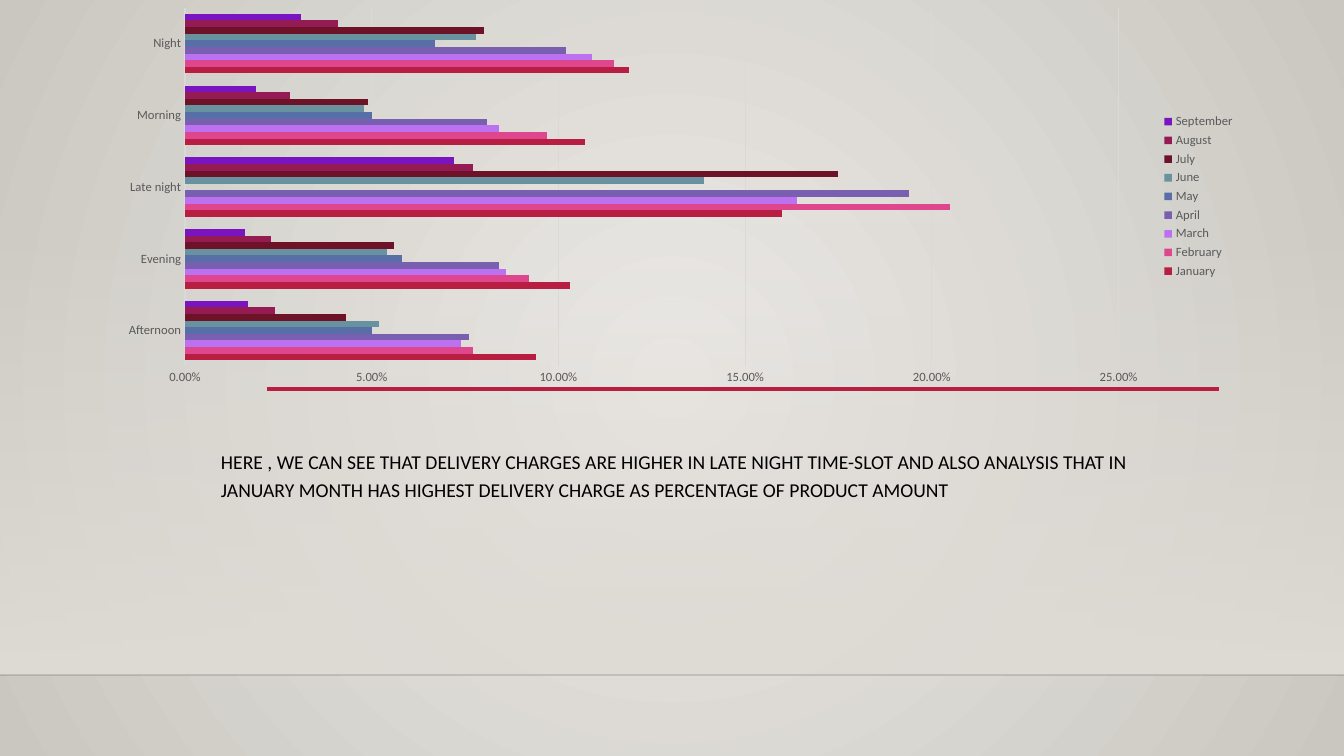
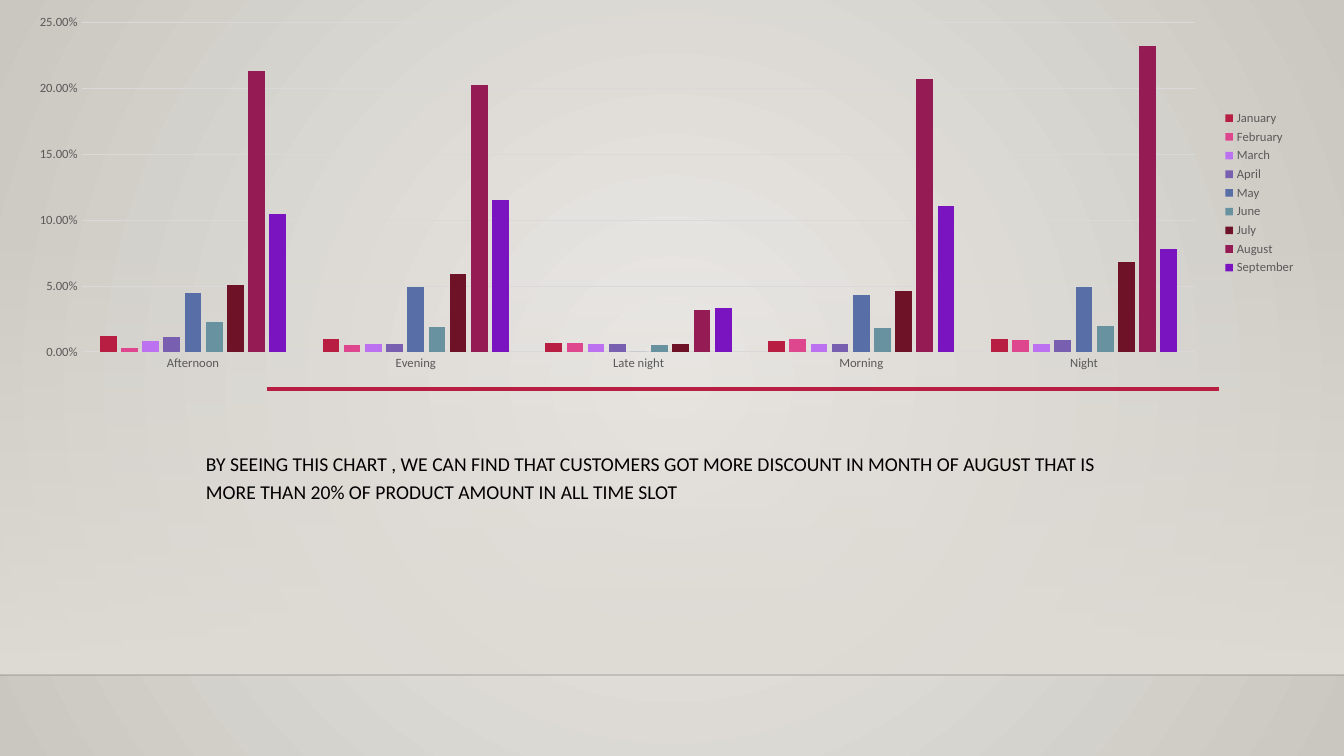
from lxml import etree
from pptx import Presentation
from pptx import util as u
from pptx.chart.data import CategoryChartData
from pptx.dml.color import RGBColor
from pptx.enum import chart as ch
from pptx.enum import shapes
from pptx.oxml import parse_xml
from pptx.oxml.ns import nsdecls, qn

W, H = 1344, 756
EMU_PER_PX = 12192000 / W
FONT = "Calibri"
COLORS = {
    "glow": "ECEAE7", "edge": "CAC7C1", "band": "DFDBD5", "accent": "B71E42",
    "text": "000000", "label": "595959", "grid": "D9D9D9",
}
MONTHS = {
    "January": "B71E42", "February": "DE478E", "March": "BC72F0",
    "April": "795FAF", "May": "586EA6", "June": "6892A0",
    "July": "6E1228", "August": "951B54", "September": "7914C0",
}
SLOTS = ["Afternoon", "Evening", "Late night", "Morning", "Night"]

# One row per month, one value per time slot
DELIVERY = [
    [0.094, 0.103, 0.16, 0.107, 0.119],
    [0.077, 0.092, 0.205, 0.097, 0.115],
    [0.074, 0.086, 0.164, 0.084, 0.109],
    [0.076, 0.084, 0.194, 0.081, 0.102],
    [0.05, 0.058, None, 0.05, 0.067],
    [0.052, 0.054, 0.139, 0.048, 0.078],
    [0.043, 0.056, 0.175, 0.049, 0.08],
    [0.024, 0.023, 0.077, 0.028, 0.041],
    [0.017, 0.016, 0.072, 0.019, 0.031],
]
DISCOUNT = [
    [0.012, 0.01, 0.007, 0.008, 0.01],
    [0.003, 0.005, 0.007, 0.01, 0.009],
    [0.008, 0.006, 0.006, 0.006, 0.006],
    [0.011, 0.006, 0.006, 0.006, 0.009],
    [0.045, 0.049, 0, 0.043, 0.049],
    [0.023, 0.019, 0.005, 0.018, 0.02],
    [0.051, 0.059, 0.006, 0.046, 0.068],
    [0.213, 0.203, 0.032, 0.207, 0.232],
    [0.105, 0.115, 0.033, 0.111, 0.078],
]


def px(*lengths):
    return [u.Emu(round(n * EMU_PER_PX)) for n in lengths]


def rgb(name):
    return RGBColor.from_string(COLORS[name])


def set_font(font, size, color):
    font.name, font.size = FONT, u.Pt(size)
    font.color.rgb = rgb(color)


def set_gradient(fill, element, stops, direction):
    """Stops are (colour name, opacity in percent), from first to last."""
    fill.gradient()
    old = element.xpath(".//a:gradFill")[0]
    gs = "".join(
        f'<a:gs pos="{i * 100000}"><a:srgbClr val="{COLORS[c]}">'
        f'<a:alpha val="{alpha * 1000}"/></a:srgbClr></a:gs>'
        for i, (c, alpha) in enumerate(stops))
    new = parse_xml(f'<a:gradFill {nsdecls("a")} rotWithShape="1">'
                    f'<a:gsLst>{gs}</a:gsLst>{direction}</a:gradFill>')
    old.getparent().replace(old, new)


def add_line(s, x1, x2, y, color, width, alpha=100):
    line = s.shapes.add_connector(shapes.MSO_CONNECTOR.STRAIGHT, *px(x1, y, x2, y))
    line.line.color.rgb = rgb(color)
    line.line.width = u.Pt(width)
    etree.SubElement(line.element.spPr, qn("a:effectLst"))
    if alpha < 100:
        clr = line.element.spPr.xpath(".//a:srgbClr")[0]
        etree.SubElement(clr, qn("a:alpha")).set("val", str(alpha * 1000))


def add_text(s, box, text, size=14, color="text", spacing=1.2, before=10):
    tf = s.shapes.add_textbox(*px(*box)).text_frame
    tf.word_wrap = True
    tf.margin_left = tf.margin_right = tf.margin_top = tf.margin_bottom = px(10)[0]
    p = tf.paragraphs[0]
    p.line_spacing, p.space_before = spacing, u.Pt(before)
    r = p.add_run()
    r.text = text
    set_font(r.font, size, color)


def add_backdrop(s):
    # Radial background
    set_gradient(s.background.fill, s.element, [("glow", 100), ("edge", 100)],
                 '<a:path path="circle"><a:fillToRect l="50000" t="50000" '
                 'r="50000" b="50000"/></a:path>')
    # Band fading in towards the floor line
    band = s.shapes.add_shape(shapes.MSO_SHAPE.RECTANGLE, *px(0, 223, W, 452))
    band.shadow.inherit = False
    band.line.fill.background()
    set_gradient(band.fill, band.element, [("band", 0), ("band", 100)],
                 '<a:lin ang="5400000" scaled="0"/>')
    add_line(s, 0, W, 675, "text", 1, alpha=20)
    # Accent rule under the chart
    add_line(s, 267, 1219, 389, "accent", 2.5)


def add_month_chart(s, box, kind, rows, gap, overlap):
    data = CategoryChartData(number_format="0.00%")
    data.categories = SLOTS
    for month, values in zip(MONTHS, rows):
        data.add_series(month, values)
    chart = s.shapes.add_chart(kind, *px(*box), data).chart
    chart.has_title = False
    set_font(chart.font, 10, "text")

    # Bars
    plot = chart.plots[0]
    plot.vary_by_categories = False
    plot.gap_width, plot.overlap = gap, overlap
    for series, color in zip(plot.series, MONTHS.values()):
        series.invert_if_negative = False
        series.format.fill.solid()
        series.format.fill.fore_color.rgb = RGBColor.from_string(color)

    # Axes and grid
    cat, val = chart.category_axis, chart.value_axis
    for axis in (cat, val):
        axis.major_tick_mark = axis.minor_tick_mark = ch.XL_TICK_MARK.NONE
        set_font(axis.tick_labels.font, 9, "label")
    val.minimum_scale, val.maximum_scale, val.major_unit = 0, 0.25, 0.05
    val.tick_labels.number_format = "0.00%"
    val.tick_labels.number_format_is_linked = False
    val.format.line.fill.background()
    val.has_major_gridlines = True
    for line in (cat.format.line, val.major_gridlines.format.line):
        line.color.rgb, line.width = rgb("grid"), u.Pt(0.75)

    # Legend
    chart.has_legend = True
    chart.legend.position = ch.XL_LEGEND_POSITION.RIGHT
    chart.legend.include_in_layout = False
    set_font(chart.legend.font, 9, "label")

    # Clear chart and plot areas
    clear = (f'<c:spPr {nsdecls("c", "a")}><a:noFill/>'
             '<a:ln><a:noFill/></a:ln></c:spPr>')
    root = chart.element
    root.find(qn("c:chart")).addnext(parse_xml(clear))
    root.xpath(".//c:plotArea")[0].append(parse_xml(clear))


def add_chart_slide(prs, text, text_box, **chart):
    s = prs.slides.add_slide(prs.slide_layouts[6])
    add_backdrop(s)
    add_text(s, text_box, text)
    add_month_chart(s, **chart)


def main():
    prs = Presentation()
    prs.slide_width, prs.slide_height = px(W, H)
    add_chart_slide(
        prs,
        "HERE , WE CAN SEE THAT DELIVERY CHARGES ARE HIGHER IN LATE NIGHT "
        "TIME-SLOT AND ALSO ANALYSIS THAT IN JANUARY MONTH HAS HIGHEST "
        "DELIVERY CHARGE AS PERCENTAGE OF PRODUCT AMOUNT",
        (211, 435, 953, 108),
        box=(106, 0, 1139, 393), kind=ch.XL_CHART_TYPE.BAR_CLUSTERED,
        rows=DELIVERY, gap=182, overlap=0)
    add_chart_slide(
        prs,
        "BY SEEING THIS CHART , WE CAN FIND THAT CUSTOMERS GOT MORE DISCOUNT "
        "IN MONTH OF AUGUST THAT IS MORE THAN 20% OF PRODUCT AMOUNT IN ALL "
        "TIME SLOT",
        (196, 437, 953, 108),
        box=(14, 8, 1292, 370), kind=ch.XL_CHART_TYPE.COLUMN_CLUSTERED,
        rows=DISCOUNT, gap=219, overlap=-27)
    prs.save("out.pptx")


if __name__ == "__main__":
    main()
